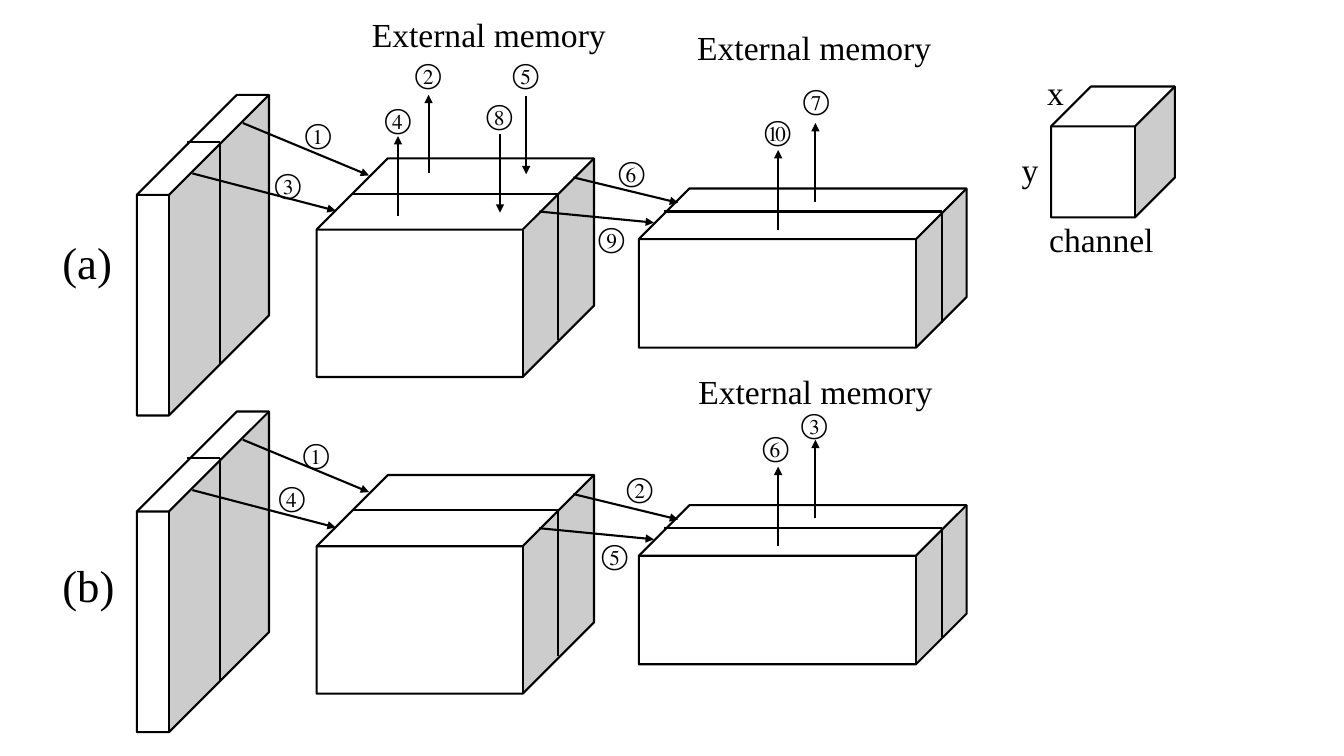
from pptx import Presentation
from pptx.dml.color import RGBColor
from pptx.enum.shapes import MSO_CONNECTOR as CONN, MSO_SHAPE as SHAPE
from pptx.enum.text import MSO_AUTO_SIZE as FIT
from pptx.oxml.ns import qn
from pptx.util import Cm, Pt
from lxml.etree import SubElement

BLACK = RGBColor(0x00, 0x00, 0x00)
WHITE = RGBColor(0xFF, 0xFF, 0xFF)
FONT = "Times New Roman"
LINE_WIDTH = Pt(1.5)
ROW_GAP = 7.98  # cm between rows (a) and (b)

# All coordinates are in cm; layers are left, top, width, height, depth ratio
LAYERS = [
    (3.45, 2.39, 3.33, 8.08, 0.757),
    (7.98, 3.99, 6.99, 5.51, 0.326),
    (16.1, 4.75, 8.26, 4.01, 0.318),
]
# Each layer is cut by a corner: start, corner, end of the side edge
CUTS = [
    (4.72, 5.54, 3.57, 9.17),
    (8.86, 14.07, 4.88, 8.56),
    (16.74, 23.75, 5.33, 8.13),
]
DATA_ARROWS = [
    (6.12, 3.1, 9.3, 4.42), (4.85, 4.37, 8.46, 5.31),
    (14.45, 4.47, 17.09, 5.11), (13.59, 5.33, 16.48, 5.61),
    (20.55, 5.08, 20.55, 3.1), (19.61, 5.79, 19.61, 3.78),
]
# Intermediate results stored and reloaded, in row (a) only
MEMORY_ARROWS = [
    (10.8, 4.37, 10.8, 2.39), (10.03, 5.44, 10.03, 3.43),
    (13.26, 2.41, 13.26, 4.39), (12.6, 3.38, 12.6, 5.36),
]
# Positions of the step numbers, in order
STEPS_A = [
    (7.44, 2.82), (10.21, 1.3), (6.68, 4.06), (9.45, 2.44), (12.67, 1.3),
    (15.34, 3.76), (19.99, 1.96), (12.01, 2.34), (14.83, 5.44), (19.02, 2.74),
]
STEPS_B = [
    (7.39, 10.87), (15.54, 11.73), (19.94, 10.11),
    (6.78, 11.96), (14.91, 13.41), (18.97, 10.69),
]


def add_cube(s, x, y, w, h, depth):
    sp = s.shapes.add_shape(SHAPE.CUBE, Cm(x), Cm(y), Cm(w), Cm(h))
    sp.adjustments[0] = depth
    sp.shadow.inherit = False
    sp.fill.solid()
    sp.fill.fore_color.rgb = WHITE
    sp.line.color.rgb = BLACK
    sp.line.width = LINE_WIDTH


def add_line(s, x1, y1, x2, y2, arrow=False):
    sp = s.shapes.add_connector(CONN.STRAIGHT, Cm(x1), Cm(y1), Cm(x2), Cm(y2))
    sp.line.color.rgb = BLACK
    sp.line.width = LINE_WIDTH
    if arrow:
        SubElement(sp.line._get_or_add_ln(), qn("a:tailEnd"), type="triangle")
    SubElement(sp._element.spPr, qn("a:effectLst"))


def add_text(s, text, x, y, w, h=1.27, size=24):
    sp = s.shapes.add_textbox(Cm(x), Cm(y), Cm(w), Cm(h))
    tf = sp.text_frame
    tf.word_wrap = False
    tf.auto_size = FIT.SHAPE_TO_FIT_TEXT
    r = tf.paragraphs[0].add_run()
    r.text = text
    r.font.name = FONT
    r.font.size = Pt(size)
    r.font.color.rgb = BLACK
    SubElement(r.font._element, qn("a:ea"), typeface=FONT)


def add_steps(s, positions):
    for n, (x, y) in enumerate(positions):
        add_text(s, chr(ord("①") + n), x, y, 1.22, 1.12, size=20)


def add_row(s, dy):
    for x, y, w, h, depth in LAYERS:
        add_cube(s, x, y + dy, w, h, depth)
    for left, corner, top, bottom in CUTS:
        add_line(s, left, top + dy, corner, top + dy)
        add_line(s, corner, top + dy, corner, bottom + dy)
    for x1, y1, x2, y2 in DATA_ARROWS:
        add_line(s, x1, y1 + dy, x2, y2 + dy, arrow=True)


def main():
    prs = Presentation()
    prs.slide_width, prs.slide_height = Cm(33.87), Cm(19.05)
    s = prs.slides.add_slide(prs.slide_layouts[6])

    # Rows of layers with their arrows
    add_row(s, 0)
    for ends in MEMORY_ARROWS:
        add_line(s, *ends, arrow=True)
    add_row(s, ROW_GAP)

    # Step numbers and labels
    add_steps(s, STEPS_A)
    add_steps(s, STEPS_B)
    for x, y in [(9.12, 0.23), (17.32, 0.56), (17.35, 9.22)]:
        add_text(s, "External memory", x, y, 6.45)
    add_text(s, "(a)", 1.32, 5.79, 1.78, 1.63, size=32)
    add_text(s, "(b)", 1.32, 13.92, 1.83, 1.63, size=32)

    # Key to the dimensions
    add_cube(s, 26.49, 2.18, 3.12, 3.3, 0.322)
    add_text(s, "channel", 26.19, 5.38, 3.18)
    add_text(s, "y", 25.5, 3.63, 0.94)
    add_text(s, "x", 26.14, 1.7, 0.94)

    prs.save("out.pptx")


main()
